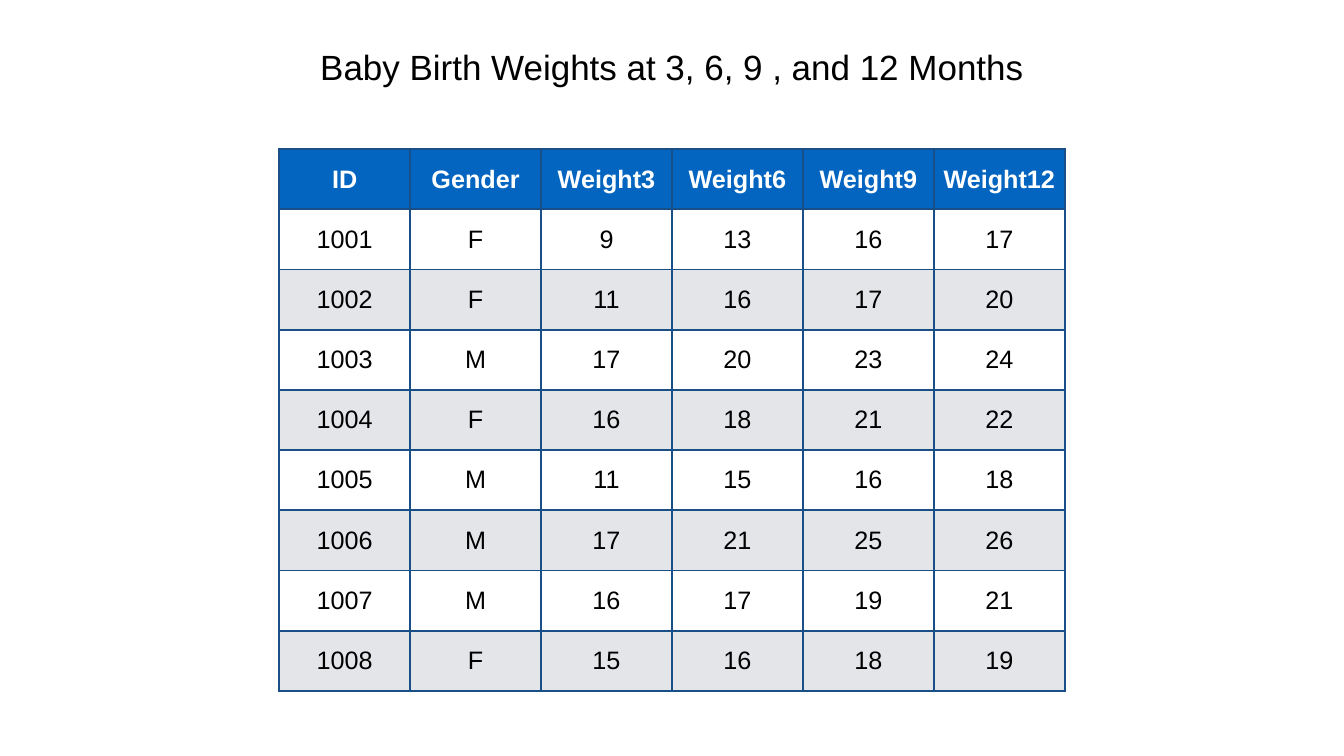
import pptx
import pptx.util
import pptx.dml.color
import pptx.enum.text
import lxml.etree
from dataclasses import dataclass

Inches, Pt = pptx.util.Inches, pptx.util.Pt
RGB = pptx.dml.color.RGBColor.from_string
MIDDLE = pptx.enum.text.MSO_ANCHOR.MIDDLE


@dataclass(frozen=True)
class Theme:
    font: str = "Arial"
    title: int = 50
    body: int = 36
    ink: str = "000000"
    white: str = "FFFFFF"
    head: str = "0365C0"
    band: str = "E3E5E8"
    rule: str = "174F86"


theme = Theme()
pad = Inches(0.06)


def write(frame, text, size=theme.body, color=theme.ink, bold=False):
    para = frame.paragraphs[0]
    para.alignment = pptx.enum.text.PP_ALIGN.CENTER
    run = para.add_run()
    run.text = text
    run.font.name = theme.font
    run.font.size = Pt(size)
    run.font.bold = bold
    run.font.color.rgb = RGB(color)


def border(cell, color, width):
    props = cell._tc.get_or_add_tcPr()
    for side in ("a:lnL", "a:lnR", "a:lnT", "a:lnB"):
        line = lxml.etree.SubElement(props, pptx.oxml.ns.qn(side), w=str(width))
        fill = lxml.etree.SubElement(line, pptx.oxml.ns.qn("a:solidFill"))
        lxml.etree.SubElement(fill, pptx.oxml.ns.qn("a:srgbClr"), val=color)


# Slide
deck = pptx.Presentation()
deck.slide_width, deck.slide_height = Inches(26.67), Inches(15)
slide = deck.slides.add_slide(deck.slide_layouts[6])

# Weights table
rows = [
    ("ID", "Gender", "Weight3", "Weight6", "Weight9", "Weight12"),
    (1001, "F", 9, 13, 16, 17),
    (1002, "F", 11, 16, 17, 20),
    (1003, "M", 17, 20, 23, 24),
    (1004, "F", 16, 18, 21, 22),
    (1005, "M", 11, 15, 16, 18),
    (1006, "M", 17, 21, 25, 26),
    (1007, "M", 16, 17, 19, 21),
    (1008, "F", 15, 16, 18, 19),
]
table = slide.shapes.add_table(
    len(rows), len(rows[0]),
    Inches(5.54), Inches(2.96), Inches(15.59), Inches(10.75),
).table
table.first_row = table.horz_banding = False

for r, row in enumerate(rows):
    head = r == 0
    shade = theme.head if head else theme.white if r % 2 else theme.band
    for c, value in enumerate(row):
        cell = table.cell(r, c)
        cell.margin_left = cell.margin_right = pad
        cell.margin_top = cell.margin_bottom = pad
        cell.vertical_anchor = MIDDLE
        border(cell, theme.rule, Pt(3))
        cell.fill.solid()
        cell.fill.fore_color.rgb = RGB(shade)
        write(cell.text_frame, str(value), bold=head,
              color=theme.white if head else theme.ink)

# Title
box = slide.shapes.add_textbox(
    Inches(6.25), Inches(0.84), Inches(14.18), Inches(0.94))
frame = box.text_frame
frame.margin_left = frame.margin_right = pad
frame.margin_top = frame.margin_bottom = pad
frame.vertical_anchor = MIDDLE
frame.word_wrap = False
frame.auto_size = pptx.enum.text.MSO_AUTO_SIZE.SHAPE_TO_FIT_TEXT
write(frame, "Baby Birth Weights at 3, 6, 9 , and 12 Months", size=theme.title)

deck.save("out.pptx")
